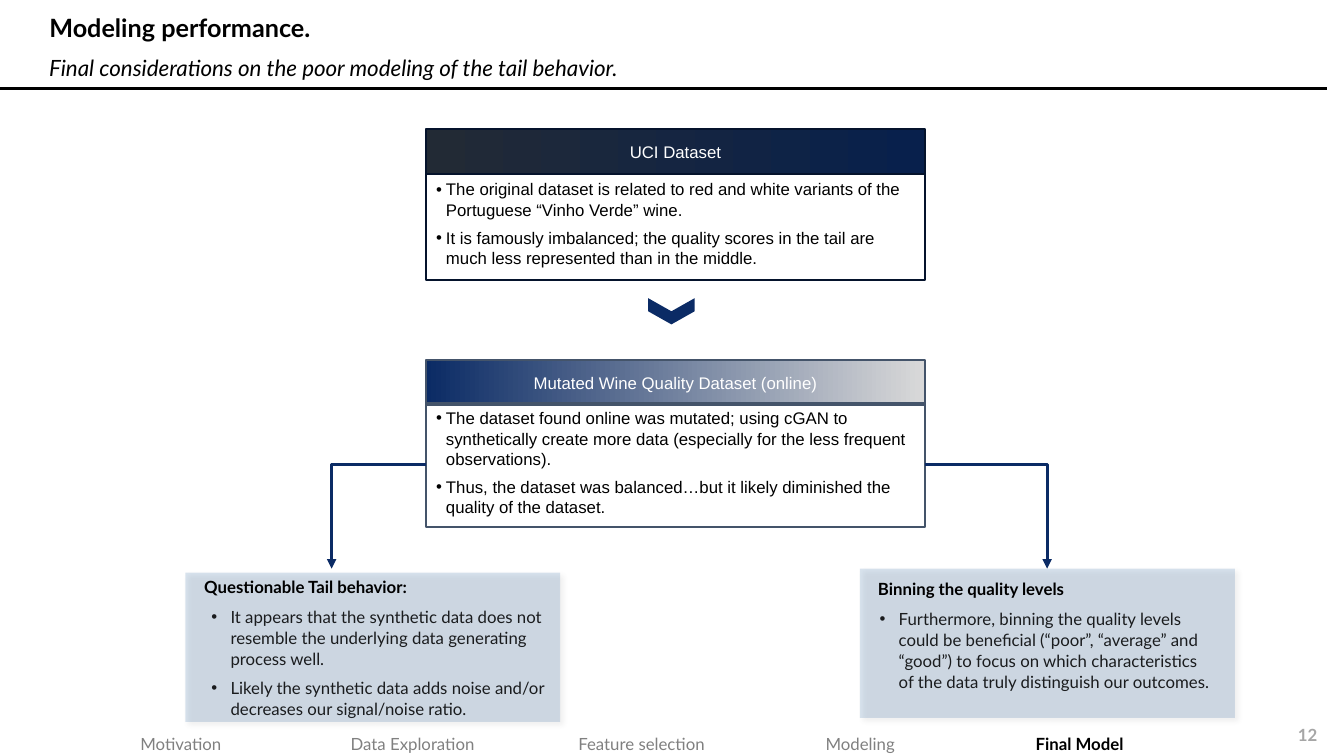
from lxml import etree
from pptx import Presentation
from pptx.dml.color import RGBColor
from pptx.enum.shapes import MSO_CONNECTOR as CONN, MSO_SHAPE as SHAPE
from pptx.enum.text import MSO_ANCHOR as ANCHOR, PP_ALIGN as ALIGN
from pptx.oxml.ns import qn
from pptx.util import Cm, Pt

NAVY = "0B2B65"
INK = "1A1C1E"


def rgb(value):
    return RGBColor.from_string(value)


def sub(parent, tag, **attrs):
    return etree.SubElement(parent, qn(tag), {k: str(v) for k, v in attrs.items()})


def write(tf, *texts, size=12, font="Lato", color="000000", bold=False, italic=False,
          align=ALIGN.LEFT, anchor=ANCHOR.TOP, inset=None, bullet=None,
          spacing=None, before=0, after=0):
    tf.word_wrap = True
    tf.vertical_anchor = anchor
    if inset is not None:
        tf.margin_left = tf.margin_right = tf.margin_top = tf.margin_bottom = Cm(inset)
    for i, text in enumerate(texts):
        p = tf.paragraphs[0] if i == 0 else tf.add_paragraph()
        if bullet:
            pPr = p._p.get_or_add_pPr()
            pPr.set("marL", str(Cm(bullet)))
            pPr.set("indent", str(-Cm(bullet)))
            sub(pPr, "a:buFont", typeface="Arial")
            sub(pPr, "a:buChar", char="•")
        p.alignment = align
        p.space_before = Pt(before if i else 0)
        p.space_after = Pt(after)
        if spacing:
            p.line_spacing = spacing
        r = p.add_run()
        r.text = text
        r.font.name = font
        r.font.size = Pt(size)
        r.font.bold = bold
        r.font.italic = italic
        r.font.color.rgb = rgb(color)


class Deck:
    def __init__(self):
        self.prs = Presentation()
        self.prs.slide_width, self.prs.slide_height = Cm(33.87), Cm(19.05)
        self.slide = self.prs.slides.add_slide(self.prs.slide_layouts[5])

    def title(self, x, y, w, h, text, **fmt):
        sp = self.slide.shapes.title
        sp.left, sp.top, sp.width, sp.height = Cm(x), Cm(y), Cm(w), Cm(h)
        write(sp.text_frame, text, **fmt)

    def text(self, x, y, w, h, *texts, **fmt):
        sp = self.slide.shapes.add_textbox(Cm(x), Cm(y), Cm(w), Cm(h))
        write(sp.text_frame, *texts, **fmt)

    def shape(self, kind, x, y, w, h, fill=None, line=None):
        sp = self.slide.shapes.add_shape(kind, Cm(x), Cm(y), Cm(w), Cm(h))
        sp.shadow.inherit = False
        if fill is None:
            sp.fill.background()
        elif isinstance(fill, tuple):
            sp.fill.gradient()
            sp.fill.gradient_angle = 0
            for stop, position, color in zip(sp.fill.gradient_stops, (0, 1), fill):
                stop.position = position
                stop.color.rgb = rgb(color)
        else:
            sp.fill.solid()
            sp.fill.fore_color.rgb = rgb(fill)
        if line:
            sp.line.color.rgb = rgb(line)
            sp.line.width = Pt(1)
        else:
            sp.line.fill.background()
        return sp

    def panel(self, x, y):
        sp = self.shape(SHAPE.RECTANGLE, x, y, 9.45, 3.76, "004890")
        spPr = sp._element.spPr
        sub(spPr.find(".//" + qn("a:srgbClr")), "a:alpha", val=15000)
        shadow = sub(spPr.find(qn("a:effectLst")), "a:outerShdw", blurRad=Pt(4),
                     dist=Pt(3), dir=45 * 60000, algn="tl", rotWithShape=0)
        sub(sub(shadow, "a:srgbClr", val="000000"), "a:alpha", val=40000)

    def dataset(self, y, body_y, body_h, name, facts, gradient, line):
        head = self.shape(SHAPE.RECTANGLE, 10.74, y, 12.57, 1.14, gradient, line)
        write(head.text_frame, name, font="Arial", color="FFFFFF",
              align=ALIGN.CENTER, anchor=ANCHOR.MIDDLE)
        body = self.shape(SHAPE.RECTANGLE, 10.74, body_y, 12.57, body_h, line=line)
        write(body.text_frame, *facts, font="Arial", bullet=0.25, before=6)

    def line(self, x1, y1, x2, y2, color, kind=CONN.STRAIGHT, arrow=False):
        cn = self.slide.shapes.add_connector(kind, Cm(x1), Cm(y1), Cm(x2), Cm(y2))
        cn.line.color.rgb = rgb(color)
        cn.line.width = Pt(2.25)
        spPr = cn._element.spPr
        sub(spPr, "a:effectLst")
        if kind == CONN.ELBOW:
            spPr.find(qn("a:prstGeom")).set("prst", "bentConnector2")
        if arrow:
            sub(cn.line._get_or_add_ln(), "a:tailEnd", type="triangle")


def main():
    deck = Deck()
    deck.title(0.99, 0, 30.73, 1.22, "Modeling performance.", size=18, bold=True,
               anchor=ANCHOR.BOTTOM, spacing=0.9)
    deck.text(0.99, 1.35, 30.73, 0.81,
              "Final considerations on the poor modeling of the tail behavior.",
              size=16, italic=True, anchor=ANCHOR.MIDDLE, spacing=0.9)
    deck.line(0, 2.24, 33.45, 2.24, "000000")

    deck.text(31.72, 18.14, 1.73, 0.76, "12", color="A6A6A6", bold=True, align=ALIGN.RIGHT)
    sections = [(2.06, "Motivation"), (7.9, "Data Exploration"), (13.67, "Feature selection"),
                (19.18, "Modeling"), (24.71, "Final Model")]
    for x, name in sections:
        current = name == "Final Model"
        deck.text(x, 18.49, 5, 0.51, name, color="000000" if current else "808080",
                  bold=current, align=ALIGN.CENTER, inset=0)

    deck.dataset(3.25, 4.39, 2.67, "UCI Dataset", [
        "The original dataset is related to red and white variants of the Portuguese "
        "“Vinho Verde” wine.",
        "It is famously imbalanced; the quality scores in the tail are much less "
        "represented than in the middle."], ("222A35", "08204C"), "05132C")
    deck.dataset(9.07, 10.16, 3.12, "Mutated Wine Quality Dataset (online)", [
        "The dataset found online was mutated; using cGAN to synthetically create more data "
        "(especially for the less frequent observations).",
        "Thus, the dataset was balanced…but it likely diminished the quality of the "
        "dataset."], (NAVY, "D9D9D9"), "44546A")
    deck.shape(SHAPE.CHEVRON, 16.59, 7.26, 0.66, 1.17, NAVY).rotation = 90

    conclusions = [
        ((4.67, 14.43), (4.67, 14.38), (5.08, 15.14, 8.99, 3.12),
         "Questionable Tail behavior:",
         ["It appears that the synthetic data does not resemble the underlying data "
          "generating process well.",
          "Likely the synthetic data adds noise and/or decreases our signal/noise ratio."]),
        ((21.67, 14.33), (21.44, 14.43), (21.92, 15.19, 8.99, 2.36),
         "Binning the quality levels",
         ["Furthermore, binning the quality levels could be beneficial (“poor”, “average” "
          "and “good”) to focus on which characteristics of the data truly distinguish "
          "our outcomes."]),
    ]
    for panel_at, heading_at, points_box, heading, points in conclusions:
        deck.panel(*panel_at)
        deck.text(*points_box, *points, color=INK, bullet=0.48, spacing=Pt(15), after=6)
        deck.text(*heading_at, 6.07, 0.76, heading, bold=True, align=ALIGN.CENTER,
                  spacing=Pt(15))
    for start_x, end_x in [(10.74, 8.36), (23.31, 26.39)]:
        deck.line(start_x, 11.71, end_x, 14.33, NAVY, CONN.ELBOW, arrow=True)

    deck.prs.save("out.pptx")


if __name__ == "__main__":
    main()
